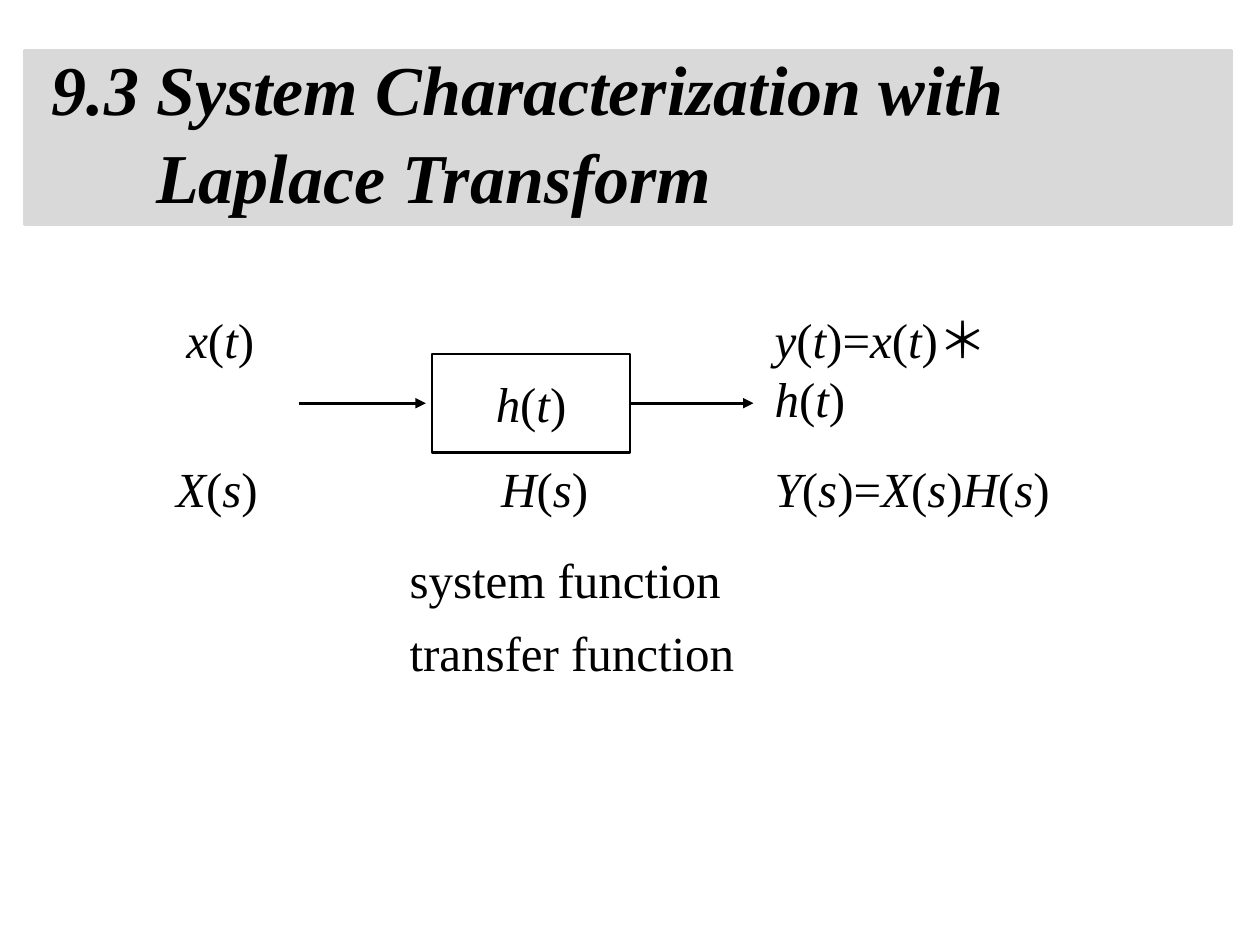
from itertools import groupby

from pptx import Presentation
from pptx.dml.color import RGBColor
from pptx.enum.shapes import MSO_CONNECTOR, MSO_SHAPE
from pptx.enum.text import MSO_ANCHOR, MSO_AUTO_SIZE, PP_ALIGN
from pptx.oxml.ns import qn
from pptx.util import Inches, Pt

RECTANGLE = MSO_SHAPE.RECTANGLE
STRAIGHT = MSO_CONNECTOR.STRAIGHT
MIDDLE, TOP = MSO_ANCHOR.MIDDLE, MSO_ANCHOR.TOP
LEFT, CENTER = PP_ALIGN.LEFT, PP_ALIGN.CENTER
NO_AUTOFIT = MSO_AUTO_SIZE.NONE
BLACK = RGBColor(0x00, 0x00, 0x00)
WHITE = RGBColor(0xFF, 0xFF, 0xFF)
GRAY = RGBColor(0xD9, 0xD9, 0xD9)
FONT = "Times New Roman"


def write(para, text, size=28, bold=False, italic=False, formula=False,
          align=LEFT, indent=0, before=0, spacing=1.0):
    """Format a paragraph; in a formula only the letters are italic."""
    para.alignment = align
    para.space_before = Pt(before)
    para.line_spacing = spacing
    properties = para._p.get_or_add_pPr()
    properties.set("marL", str(Inches(indent)))
    properties.set("indent", "0")
    properties.get_or_add_buNone() if hasattr(properties, "get_or_add_buNone") else \
        properties.append(properties.makeelement(qn("a:buNone"), {}))
    pieces = groupby(text, str.isalpha) if formula else [(italic, text)]
    for slanted, letters in pieces:
        span = para.add_run()
        span.text = "".join(letters)
        span.font.name = FONT
        span.font.size = Pt(size)
        span.font.bold = bold
        span.font.italic = slanted
        span.font.color.rgb = BLACK


deck = Presentation()
deck.slide_width, deck.slide_height = Inches(10), Inches(7.5)
page = deck.slides.add_slide(deck.slide_layouts[1])
title, body = page.placeholders

# Title band, placed behind the placeholders
band = page.shapes.add_shape(RECTANGLE, Inches(0.2), Inches(0.4), Inches(9.57), Inches(1.38))
band.shadow.inherit = False
band.fill.solid()
band.fill.fore_color.rgb = GRAY
band.line.color.rgb = GRAY
band.line.width = Pt(2)
title._element.addprevious(band._element)

# Title and list of names for H(s)
for holder, top, height, anchor, lines, style in (
    (title, 0.32, 1.45, MIDDLE,
     (("9.3 System Characterization with", 0.31), ("Laplace Transform", 1.14)),
     {"size": 40, "bold": True, "italic": True, "before": 2}),
    (body, 4.36, 1.12, TOP,
     (("system function", 3.15), ("transfer function", 3.15)),
     {"before": 12, "spacing": 0.9}),
):
    holder.left, holder.top = Inches(0), Inches(top)
    holder.width, holder.height = Inches(10), Inches(height)
    frame = holder.text_frame
    frame.auto_size = NO_AUTOFIT
    frame.vertical_anchor = anchor
    for number, (text, indent) in enumerate(lines):
        para = frame.add_paragraph() if number else frame.paragraphs[0]
        write(para, text, indent=indent, **style)

# System box
system = page.shapes.add_shape(RECTANGLE, Inches(3.43), Inches(2.81), Inches(1.57), Inches(0.78))
system.shadow.inherit = False
system.fill.solid()
system.fill.fore_color.rgb = WHITE
system.line.color.rgb = BLACK
system.line.width = Pt(1.5)
system.text_frame.vertical_anchor = MIDDLE
write(system.text_frame.paragraphs[0], "h(t)", formula=True, align=CENTER)

# Input and output arrows
arrow_y = Inches(3.2)
input_arrow, output_arrow = [
    page.shapes.add_connector(STRAIGHT, Inches(start), arrow_y, Inches(end), arrow_y)
    for start, end in ((2.37, 3.38), (5, 5.98))
]
output_arrow.begin_connect(system, 3)
for arrow in (input_arrow, output_arrow):
    arrow.line.color.rgb = BLACK
    arrow.line.width = Pt(1.5)
    line = arrow.line._get_or_add_ln()
    line.append(line.makeelement(qn("a:tailEnd"), {"type": "triangle"}))
    outline = arrow._element.spPr
    outline.append(outline.makeelement(qn("a:effectLst"), {}))

# Time-domain signals above, transforms below
for text, left, top, width, wrap in (
    ("x(t)", 1.38, 2.41, 0.75, False),
    ("y(t)=x(t)＊h(t)", 6.05, 2.41, 2.4, True),
    ("X(s)", 1.3, 3.59, 0.86, False),
    ("H(s)", 3.88, 3.59, 0.9, False),
    ("Y(s)=X(s)H(s)", 6.05, 3.59, 2.41, False),
):
    box = page.shapes.add_textbox(Inches(left), Inches(top), Inches(width), Inches(0.57))
    box.text_frame.word_wrap = wrap
    write(box.text_frame.paragraphs[0], text, formula=True)

deck.save("out.pptx")
